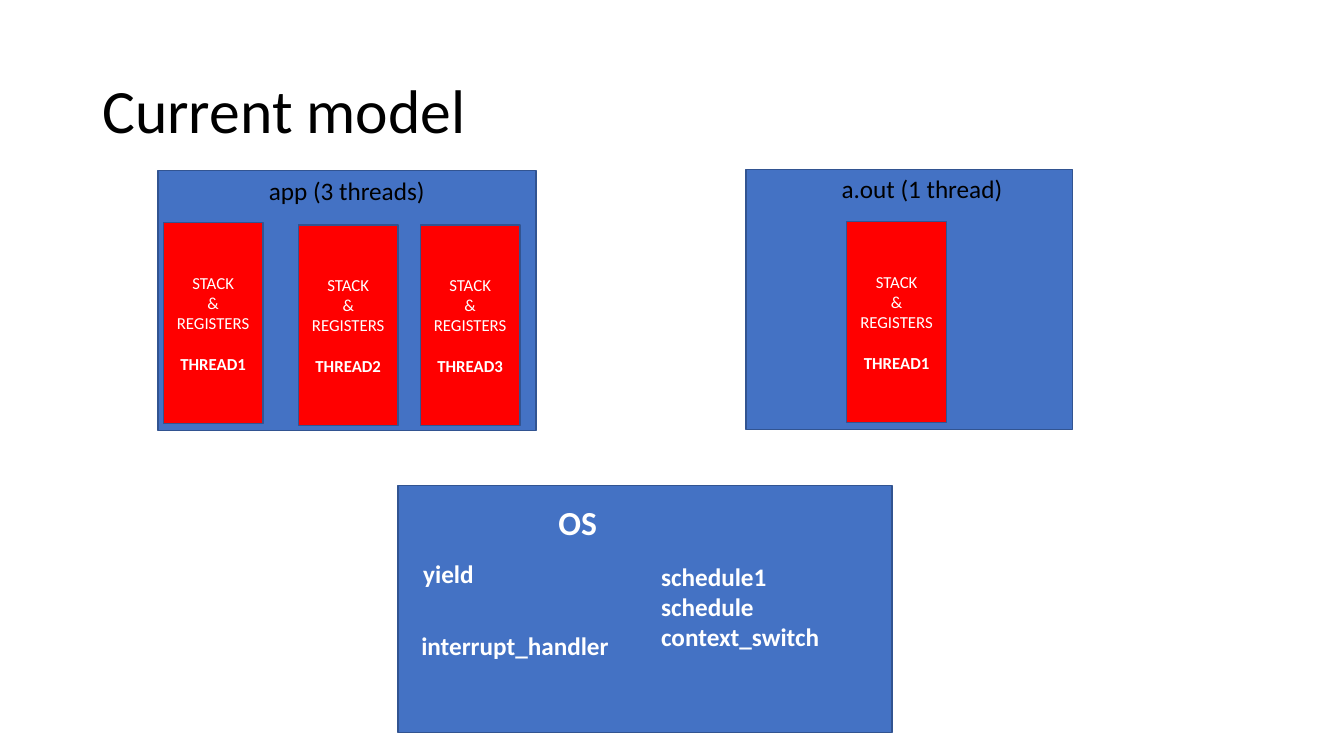
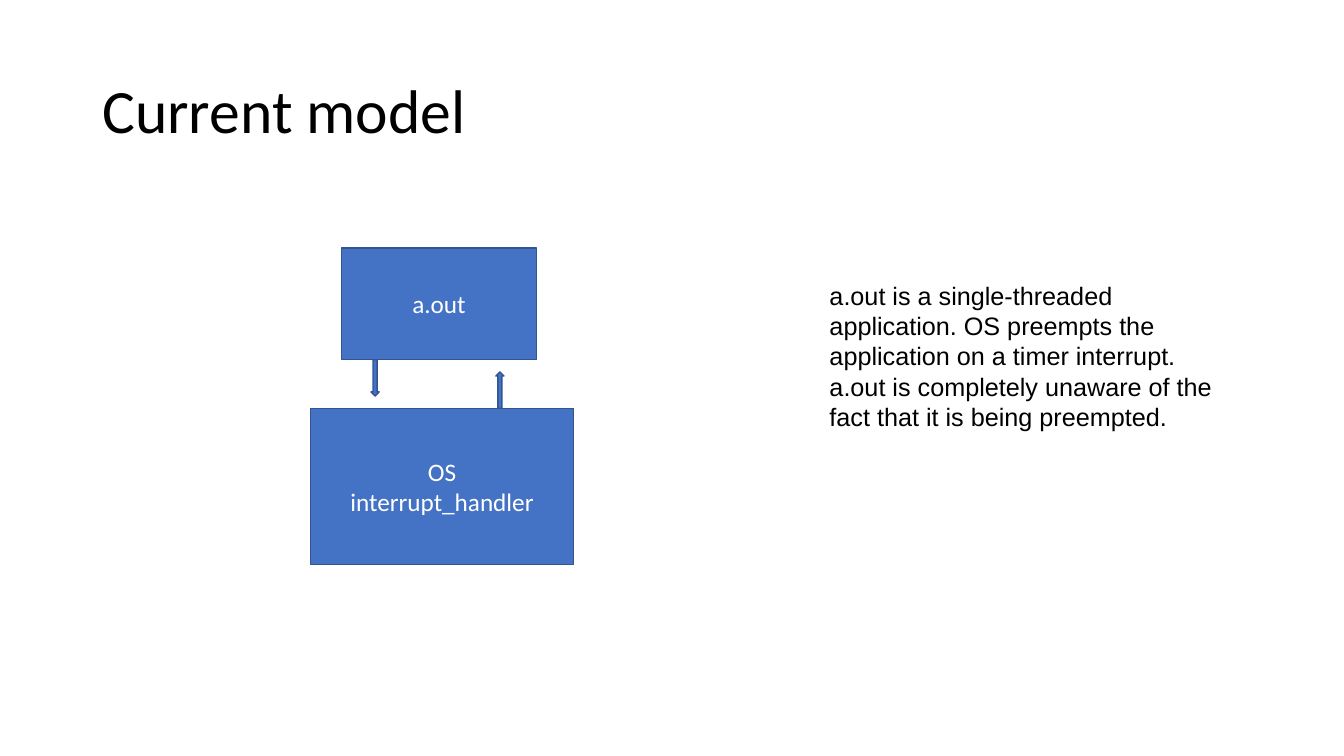
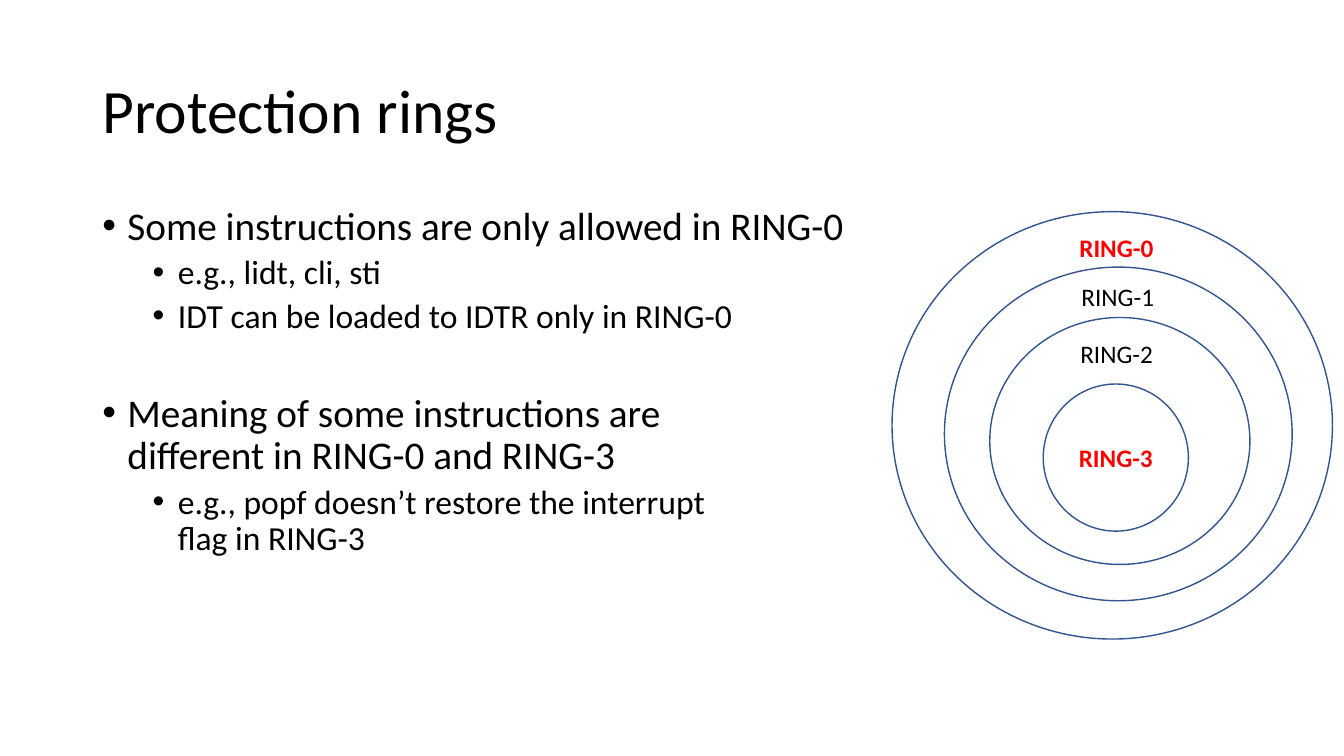
"""Three slides on the threading model and on protection rings."""
from lxml import etree
from pptx import Presentation
from pptx.dml.color import RGBColor
from pptx.enum import shapes, text
from pptx.oxml import ns
from pptx.util import Pt

BLUE = RGBColor(0x44, 0x72, 0xC4)
NAVY = RGBColor(0x32, 0x54, 0x91)
RED = RGBColor(0xFF, 0, 0)
BLACK = RGBColor(0, 0, 0)
WHITE = RGBColor(0xFF, 0xFF, 0xFF)

RECT = shapes.MSO_SHAPE.RECTANGLE
OVAL = shapes.MSO_SHAPE.OVAL
CENTER = text.PP_ALIGN.CENTER
MIDDLE = text.MSO_ANCHOR.MIDDLE

TITLE_AREA = (66, 28.8, 828, 104.4)
THREAD_SIZE = (71.3, 143.3)
LABEL_SIZE = (157.7, 28.8)
RING_LABEL_SIZE = (76.3, 28.8)
ARROW_SIZE = (5.8, 25.9)

PROCESSES = [(113, 121.7, 270, 185.8), (532.8, 121, 233.3, 185.8)]
PROCESS_LABELS = [("app (3 threads)", 185, 121.7), ("a.out (1 thread)", 594, 120.2)]
THREADS = [
    ("THREAD2", 213.1, 160.6),
    ("THREAD1", 116.6, 159.1),
    ("THREAD3", 300.2, 160.6),
    ("THREAD1", 604.8, 158.4),
]
KERNEL = (284.4, 347, 352.8, 176.4)
KERNEL_LABELS = [
    (["OS"], 391.7, 355, 24),
    (["yield"], 295.2, 395.3, 18),
    (["interrupt_handler"], 293.8, 446.4, 18),
    (["schedule1", "schedule", "context_switch"], 465.1, 397.4, 18),
]

HANDOVER = [
    (["OS", "interrupt_handler"], (221.8, 291.6, 187.9, 111.6)),
    (["a.out"], (244.1, 177.1, 139, 79.9)),
]
ARROWS = [
    (shapes.MSO_SHAPE.DOWN_ARROW, 265, 257),
    (shapes.MSO_SHAPE.UP_ARROW, 354.2, 265.7),
]
PREEMPTION = (
    "a.out is a single-threaded application. OS preempts the application on a "
    "timer interrupt. a.out is completely unaware of the fact that it is being preempted."
)
PREEMPTION_AREA = (585.4, 196.6, 289.4, 116.6)

BULLETS = [
    ("Some instructions are only allowed in RING-0", 0, 0),
    ("e.g., lidt, cli, sti", 1, 5),
    ("IDT can be loaded to IDTR only in RING-0", 1, 5),
    ("Meaning of some instructions are\vdifferent in RING-0 and RING-3", 0, 41.4),
    ("e.g., popf doesn’t restore the interrupt\vflag in RING-3", 1, 5),
]
BULLETS_AREA = (66, 144, 565, 342.7)
RINGS = [
    (637.2, 151.2, 314.6, 305.3),
    (674.6, 190.8, 248.4, 238.3),
    (707, 226.8, 185.8, 176.4),
]
CORE_RING = (745.2, 274.3, 103.7, 105.1)
RING_LABELS = [
    ("RING-0", 763.9, 162.7, RED, True),
    ("RING-1", 765.4, 197.3, BLACK, False),
    ("RING-2", 764.6, 238.3, BLACK, False),
]


def add_line(frame, words, size=18, color=BLACK, bold=False, font="Calibri",
             align=None, spacing=None, before=0, level=None):
    para = frame.paragraphs[0]
    if para.runs:
        para = frame.add_paragraph()
    para.text = words
    para.alignment = align
    para.line_spacing = spacing
    if before:
        para.space_before = Pt(before)
    if level is not None:
        para.level = level
        props = para._p.get_or_add_pPr()
        props.set("marL", str(Pt(18 + 36 * level)))
        props.set("indent", str(Pt(-18)))
        face = etree.SubElement(props, ns.qn("a:buFont"))
        face.set("typeface", "Arial")
        etree.SubElement(props, ns.qn("a:buChar")).set("char", "•")
    for span in para.runs:
        span.font.name = font
        span.font.size = Pt(size)
        span.font.bold = bold
        span.font.color.rgb = color


def add_text(page, area, lines, anchor=None, **style):
    box = page.shapes.add_textbox(*map(Pt, area))
    frame = box.text_frame
    frame.word_wrap = True
    frame.vertical_anchor = anchor
    for words in lines:
        add_line(frame, words, **style)
    return frame


def add_block(page, kind, area, fill=BLUE, lines=(), **style):
    block = page.shapes.add_shape(kind, *map(Pt, area))
    block.shadow.inherit = False
    block.fill.solid()
    block.fill.fore_color.rgb = fill
    block.line.color.rgb = NAVY
    block.line.width = Pt(1)
    frame = block.text_frame
    frame.vertical_anchor = MIDDLE
    for words in lines:
        add_line(frame, words, align=CENTER, **style)
    return frame


def add_page(deck, title):
    page = deck.slides.add_slide(deck.slide_layouts[6])
    add_text(page, TITLE_AREA, [title], anchor=MIDDLE, size=44, spacing=0.9)
    return page


def build_processes(deck):
    page = add_page(deck, "Current model")
    for area in PROCESSES:
        add_block(page, RECT, area)
    for name, left, top in THREADS:
        frame = add_block(page, RECT, (left, top, *THREAD_SIZE), RED,
                          ["STACK", "&", "REGISTERS"], size=12, color=WHITE)
        add_line(frame, name, size=12, color=WHITE, bold=True, align=CENTER, before=14.6)
    for name, left, top in PROCESS_LABELS:
        add_text(page, (left, top, *LABEL_SIZE), [name])
    add_block(page, RECT, KERNEL)
    for lines, left, top, size in KERNEL_LABELS:
        height = 7.2 + 1.2 * size * len(lines)
        add_text(page, (left, top, LABEL_SIZE[0], height), lines,
                 size=size, color=WHITE, bold=True)


def build_handover(deck):
    page = add_page(deck, "Current model")
    for lines, area in HANDOVER:
        add_block(page, RECT, area, lines=lines, color=WHITE)
    for kind, left, top in ARROWS:
        add_block(page, kind, (left, top, *ARROW_SIZE))
    add_text(page, PREEMPTION_AREA, [PREEMPTION], font="Arial")


def build_rings(deck):
    page = add_page(deck, "Protection rings")
    frame = add_text(page, BULLETS_AREA, [])
    for words, level, before in BULLETS:
        add_line(frame, words, size=28 - 4 * level, spacing=0.9, before=before, level=level)
    for area in RINGS:
        add_block(page, OVAL, area, WHITE)
    add_block(page, OVAL, CORE_RING, WHITE, ["RING-3"], color=RED, bold=True)
    for name, left, top, color, bold in RING_LABELS:
        add_text(page, (left, top, *RING_LABEL_SIZE), [name], color=color, bold=bold)


def main():
    deck = Presentation()
    deck.slide_width, deck.slide_height = Pt(960), Pt(540)
    build_processes(deck)
    build_handover(deck)
    build_rings(deck)
    deck.save("out.pptx")


if __name__ == "__main__":
    main()
